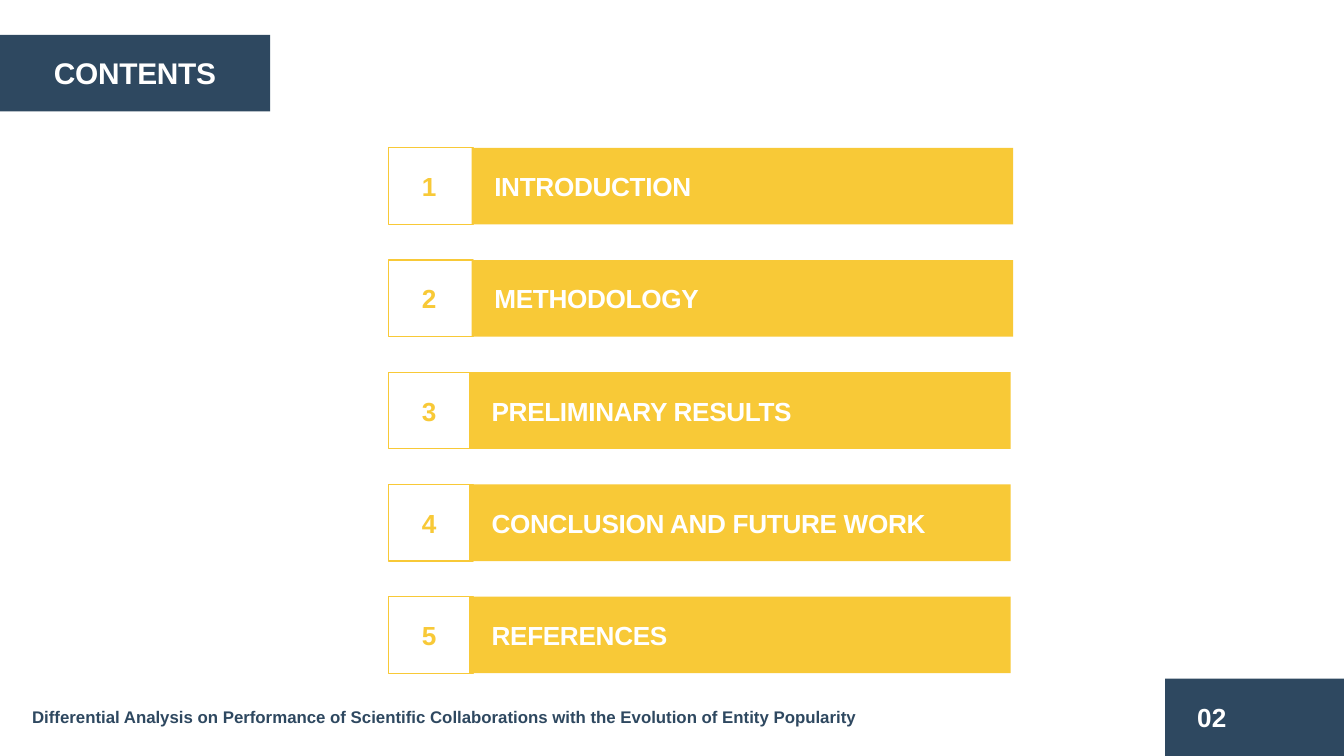
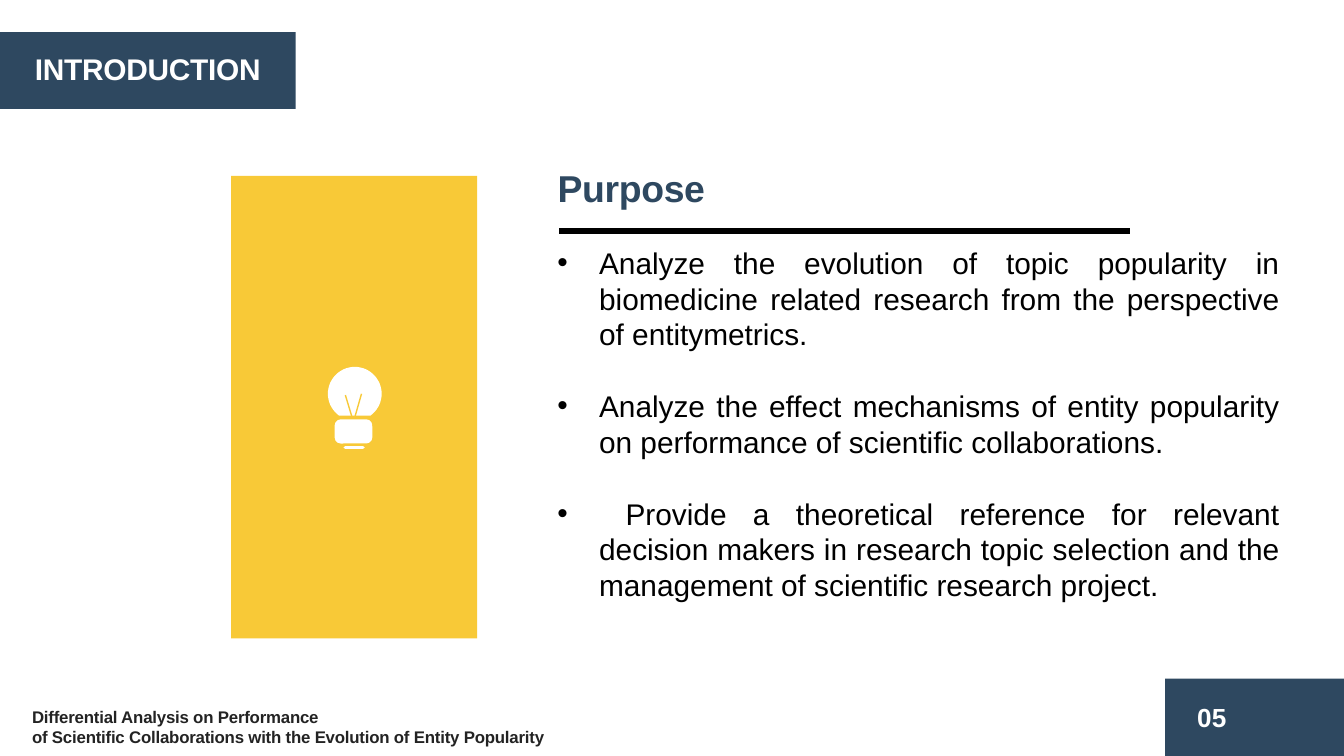
import math

from lxml import etree
from pptx import Presentation
from pptx.dml.color import RGBColor
from pptx.enum.shapes import MSO_CONNECTOR, MSO_SHAPE
from pptx.enum.text import MSO_AUTO_SIZE, PP_ALIGN
from pptx.oxml.ns import qn
from pptx.util import Inches, Pt

NAVY = RGBColor(0x2E, 0x48, 0x60)
YELLOW = RGBColor(0xF8, 0xC9, 0x37)
WHITE = RGBColor(0xFF, 0xFF, 0xFF)
BLACK = RGBColor(0x00, 0x00, 0x00)
CHARCOAL = RGBColor(0x23, 0x23, 0x23)

RECTANGLE = MSO_SHAPE.RECTANGLE
ROUNDED = MSO_SHAPE.ROUNDED_RECTANGLE
STRAIGHT = MSO_CONNECTOR.STRAIGHT
LEFT, CENTER, JUSTIFY = PP_ALIGN.LEFT, PP_ALIGN.CENTER, PP_ALIGN.JUSTIFY
FIT = MSO_AUTO_SIZE.SHAPE_TO_FIT_TEXT
FONT = "Arial"


def paint(shape, fill=None, line=None, width=0.75):
    """Set fill, outline and no shadow; None leaves that part empty."""
    shape.shadow.inherit = False
    if fill is None:
        shape.fill.background()
    else:
        shape.fill.solid()
        shape.fill.fore_color.rgb = fill
    if line is None:
        shape.line.fill.background()
    else:
        shape.line.color.rgb = line
        shape.line.width = Pt(width)


def add_text(shapes, area, text, size, color, bold=True, align=LEFT, spacing=0):
    """Add a text box; spacing is the letter spacing in points."""
    box = shapes.add_textbox(*map(Inches, area))
    frame = box.text_frame
    frame.word_wrap = True
    frame.auto_size = FIT
    frame.text = text
    for para in frame.paragraphs:
        para.alignment = align
        for span in para.runs:
            span.font.name = FONT
            span.font.size = Pt(size)
            span.font.bold = bold
            span.font.color.rgb = color
            if spacing:
                span.font._element.set("spc", str(round(spacing * 100)))
    return box


# Widescreen, 16:9
deck = Presentation()
deck.slide_width = Inches(10)
deck.slide_height = deck.slide_width * 9 // 16

# Shared frame: title band, page number and footer
PAGES = [
    {"number": "02", "title": "CONTENTS",
     "band": (0, 0.26, 2.01, 0.57), "title_area": (0.19, 0.36, 1.63, 0.37),
     "footer": "Differential Analysis on Performance of Scientific Collaborations "
               "with the Evolution of Entity Popularity",
     "footer_area": (0.14, 5.21, 7.99, 0.25), "footer_color": NAVY, "footer_spacing": 0},
    {"number": "05", "title": "INTRODUCTION",
     "band": (0, 0.24, 2.2, 0.57), "title_area": (0.15, 0.33, 1.9, 0.37),
     "footer": "Differential Analysis on Performance\n"
               "of Scientific Collaborations with the Evolution of Entity Popularity",
     "footer_area": (0.14, 5.21, 4.89, 0.4), "footer_color": CHARCOAL, "footer_spacing": -0.1},
]
pages = []
for page in PAGES:
    shapes = deck.slides.add_slide(deck.slide_layouts[6]).shapes
    pages.append(shapes)
    for area in ((8.67, 5.05, 1.33, 0.59), page["band"]):
        paint(shapes.add_shape(RECTANGLE, *map(Inches, area)), NAVY)
    add_text(shapes, (8.81, 5.17, 0.5, 0.34), page["number"], 14, WHITE)
    add_text(shapes, page["title_area"], page["title"], 16, WHITE, align=CENTER, spacing=-0.1)
    add_text(shapes, page["footer_area"], page["footer"], 9, page["footer_color"],
             spacing=page["footer_spacing"])
contents, introduction = pages

# Contents: numbered bars, with the left edge and label width of each
CHAPTERS = [
    ("INTRODUCTION", 3.51, 2.85),
    ("METHODOLOGY", 3.51, 4.3),
    ("PRELIMINARY RESULTS", 3.49, 4.3),
    ("CONCLUSION AND FUTURE WORK", 3.49, 3.6),
    ("REFERENCES", 3.49, 3.6),
]
FIRST_TOP, LAST_TOP = 1.1, 4.44
pitch = (LAST_TOP - FIRST_TOP) / (len(CHAPTERS) - 1)
for index, (chapter, left, label_width) in enumerate(CHAPTERS):
    top = FIRST_TOP + index * pitch
    number_box = contents.add_shape(
        RECTANGLE, Inches(2.89), Inches(top), Inches(0.63), Inches(0.57))
    paint(number_box, line=YELLOW)
    bar = contents.add_shape(
        RECTANGLE, Inches(left), Inches(top), Inches(4.03), Inches(0.57))
    paint(bar, YELLOW)
    add_text(contents, (3.04, top + 0.12, 0.32, 0.34), str(index + 1), 14, YELLOW)
    add_text(contents, (left + 0.07, top + 0.12, label_width, 0.34), chapter, 14, WHITE,
             spacing=-0.2)

# Introduction: panel, heading and purposes
panel = introduction.add_shape(
    RECTANGLE, Inches(1.72), Inches(1.31), Inches(1.83), Inches(3.44))
paint(panel, YELLOW)
add_text(introduction, (4.05, 1.18, 2.12, 0.44), "Purpose", 20, NAVY, spacing=-0.2)

PURPOSES = [
    "Analyze the evolution of topic popularity in biomedicine related research "
    "from the perspective of entitymetrics.",
    "Analyze the effect mechanisms of entity popularity on performance of "
    "scientific collaborations.",
    " Provide a theoretical reference for relevant decision makers in research topic "
    "selection and the management of scientific research project.",
]
purpose_box = add_text(introduction, (4.05, 1.77, 5.57, 2.79), "\n".join(PURPOSES), 16, BLACK,
                       bold=False, align=JUSTIFY)
paragraphs = purpose_box.text_frame.paragraphs
for para in paragraphs:
    if para is not paragraphs[-1]:
        para.space_after = Pt(19.2)
    properties = para._p.get_or_add_pPr()
    properties.set("marL", str(Inches(0.31)))
    properties.set("indent", str(-Inches(0.31)))
    etree.SubElement(properties, qn("a:buFont")).set("typeface", FONT)
    etree.SubElement(properties, qn("a:buChar")).set("char", "•")

# Light bulb: glass, filament, tip and socket
bulb = introduction.add_group_shape().shapes
CENTER_X, CENTER_Y, RADIUS = 2.64, 2.93, 0.2
outline = []
for degrees in range(126, 415, 6):
    angle = math.radians(degrees)
    outline.append((Inches(CENTER_X + RADIUS * math.cos(angle)),
                    Inches(CENTER_Y + RADIUS * math.sin(angle))))
builder = bulb.build_freeform(*outline[0])
builder.add_line_segments(outline[1:], close=True)
paint(builder.convert_to_shape(), WHITE)

LINES = [
    (introduction, (4.16, 1.72, 8.41, 1.72), BLACK, 3, "flat"),
    (bulb, (2.63, 3.14, 2.57, 2.94), YELLOW, 0.75, "flat"),
    (bulb, (2.63, 3.14, 2.69, 2.93), YELLOW, 0.75, "flat"),
    (bulb, (2.57, 3.33, 2.7, 3.33), WHITE, 2, "rnd"),
]
for shapes, ends, color, width, cap in LINES:
    connector = shapes.add_connector(STRAIGHT, *map(Inches, ends))
    connector.line.color.rgb = color
    connector.line.width = Pt(width)
    connector.line._get_or_add_ln().set("cap", cap)
    etree.SubElement(connector._element.spPr, qn("a:effectLst"))

socket = bulb.add_shape(ROUNDED, Inches(2.49), Inches(3.12), Inches(0.28), Inches(0.18))
socket.adjustments[0] = 0.25
paint(socket, WHITE)

deck.save("out.pptx")
